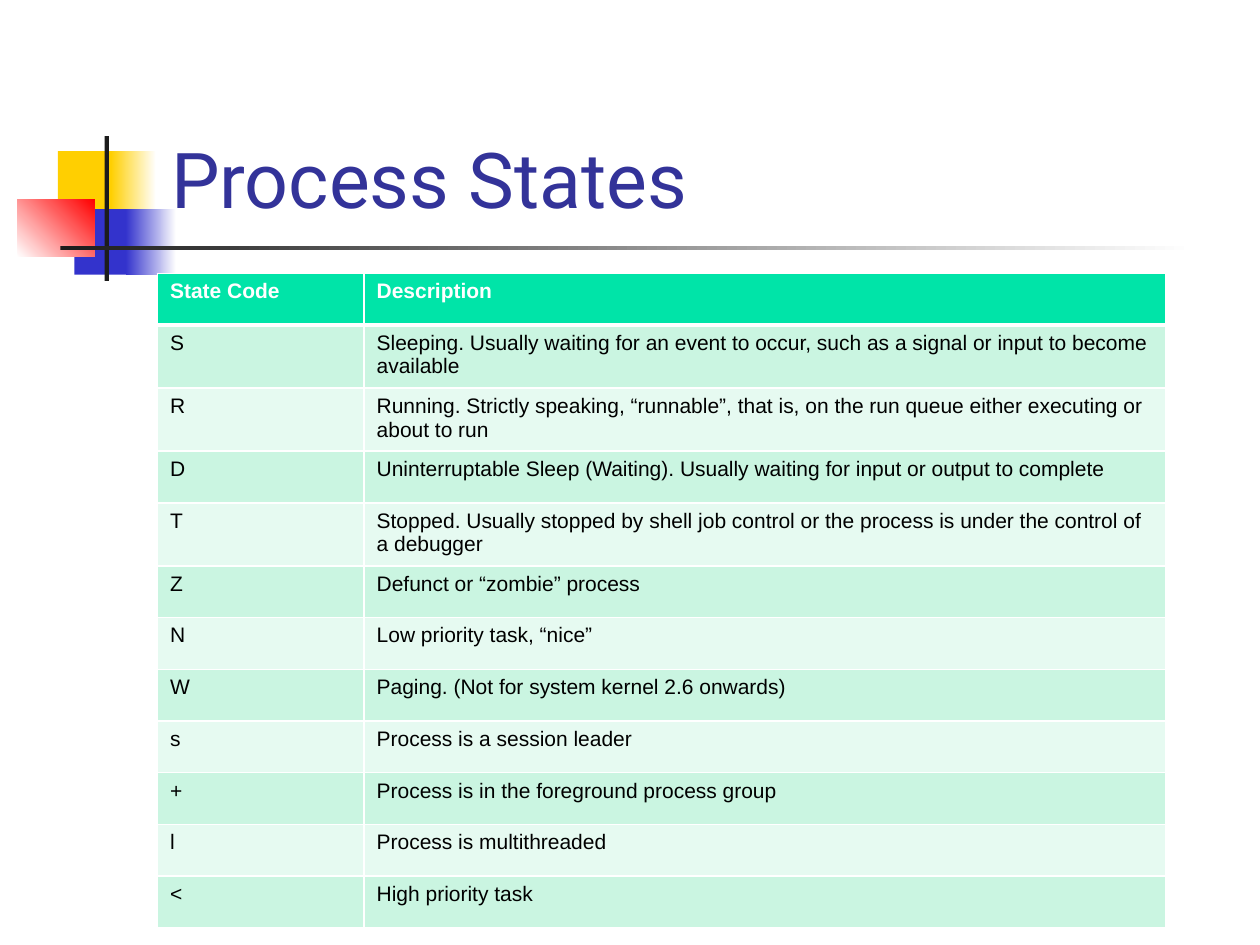
from lxml.etree import SubElement
from pptx import Presentation
from pptx.dml.color import RGBColor
from pptx.enum.shapes import MSO_SHAPE as Shape
from pptx.enum.text import MSO_ANCHOR as Anchor
from pptx.oxml.ns import qn
from pptx.util import Inches, Pt

WIDTH, HEIGHT = Inches(10), Inches(7.5)

WHITE = RGBColor(0xFF, 0xFF, 0xFF)
BLACK = RGBColor(0x00, 0x00, 0x00)
YELLOW = RGBColor(0xFF, 0xCF, 0x01)
BLUE = RGBColor(0x33, 0x33, 0xCC)
RED = RGBColor(0xFF, 0x00, 0x00)
CHARCOAL = RGBColor(0x1C, 0x1C, 0x1C)
TITLE_BLUE = RGBColor(0x33, 0x33, 0x99)
HEADER_GREEN = RGBColor(0x00, 0xE4, 0xA8)
BAND_GREENS = (RGBColor(0xE6, 0xFA, 0xF1), RGBColor(0xCA, 0xF5, 0xE1))

# Left, top, width, height in percent of the slide; start colour, end colour, angle
ORNAMENTS = [
    ((4.6, 16, 4.8, 6.93), YELLOW, None, 0),
    ((8.8, 16, 3.6, 6.93), YELLOW, WHITE, 0),
    ((5.9, 22.13, 4.6, 6.93), BLUE, None, 0),
    ((10, 22.13, 4, 6.93), BLUE, WHITE, 0),
    ((1.4, 21.07, 6.1, 6.13), WHITE, RED, 45),
    ((8.3, 14.4, 0.35, 15.33), CHARCOAL, None, 0),
    ((4.8, 26, 90, 0.45), CHARCOAL, WHITE, 0),
]

TITLE_AREA = (12.6, 3.07, 85.2, 21.33)
TABLE_LEFT, TABLE_TOP = 12.5, 28.93
COLUMN_WIDTHS = (16.4, 63.6)
ROW_HEIGHT = 5.47

STATES = [
    ("State Code", "Description"),
    ("S", "Sleeping. Usually waiting for an event to occur, such as a signal "
          "or input to become available"),
    ("R", "Running. Strictly speaking, “runnable”, that is, on the run queue "
          "either executing or about to run"),
    ("D", "Uninterruptable Sleep (Waiting). Usually waiting for input or "
          "output to complete"),
    ("T", "Stopped. Usually stopped by shell job control or the process is "
          "under the control of a debugger"),
    ("Z", "Defunct or “zombie” process"),
    ("N", "Low priority task, “nice”"),
    ("W", "Paging. (Not for system kernel 2.6 onwards)"),
    ("s", "Process is a session leader"),
    ("+", "Process is in the foreground process group"),
    ("l", "Process is multithreaded"),
    ("<", "High priority task"),
]


def across(percent):
    return round(WIDTH * percent / 100)


def down(percent):
    return round(HEIGHT * percent / 100)


def place(area):
    left, top, width, height = area
    return across(left), down(top), across(width), down(height)


def style_text(frame, font_name, size, color, bold=False):
    for para in frame.paragraphs:
        for span in para.runs:
            font = span.font
            font.name, font.size, font.bold = font_name, Pt(size), bold
            font.color.rgb = color


def add_ornament(page, area, start, end, angle):
    """Add a borderless rectangle, faded from start to end if there is an end."""
    block = page.shapes.add_shape(Shape.RECTANGLE, *place(area))
    block.shadow.inherit = False
    block.line.fill.background()
    if end is None:
        block.fill.solid()
        block.fill.fore_color.rgb = start
        return
    block.fill.gradient()
    block.fill.gradient_angle = angle
    for stop, color in zip(block.fill.gradient_stops, (start, end)):
        stop.color.rgb = color


def add_title(page, text):
    box = page.shapes.add_textbox(*place(TITLE_AREA))
    frame = box.text_frame
    frame.word_wrap = True
    frame.vertical_anchor = Anchor.BOTTOM
    frame.text = text
    style_text(frame, "Roboto", 44, TITLE_BLUE)


def set_borders(cell, top, bottom):
    """Draw white cell borders; top and bottom are widths in points."""
    properties = cell._tc.get_or_add_tcPr()
    for side, width in (("L", 1), ("R", 1), ("T", top), ("B", bottom)):
        line = SubElement(properties, qn(f"a:ln{side}"), w=str(Pt(width)))
        fill = SubElement(line, qn("a:solidFill"))
        SubElement(fill, qn("a:srgbClr"), val=str(WHITE))


def fill_cell(cell, text, row):
    header = row == 0
    set_borders(cell, top=3 if row == 1 else 1, bottom=3 if header else 1)
    cell.fill.solid()
    cell.fill.fore_color.rgb = HEADER_GREEN if header else BAND_GREENS[row % 2]
    cell.text_frame.text = text
    style_text(cell.text_frame, "Arial", 12, WHITE if header else BLACK, header)


def add_state_table(page):
    area = (TABLE_LEFT, TABLE_TOP, sum(COLUMN_WIDTHS), ROW_HEIGHT * len(STATES))
    table = page.shapes.add_table(
        len(STATES), len(COLUMN_WIDTHS), *place(area)).table
    for column, width in zip(table.columns, COLUMN_WIDTHS):
        column.width = across(width)
    for row, texts in enumerate(STATES):
        table.rows[row].height = down(ROW_HEIGHT)
        for column, text in enumerate(texts):
            fill_cell(table.cell(row, column), text, row)


def main():
    deck = Presentation()
    deck.slide_width, deck.slide_height = WIDTH, HEIGHT
    page = deck.slides.add_slide(deck.slide_layouts[6])
    for ornament in ORNAMENTS:
        add_ornament(page, *ornament)
    add_title(page, "Process States")
    add_state_table(page)
    deck.save("out.pptx")


if __name__ == "__main__":
    main()
